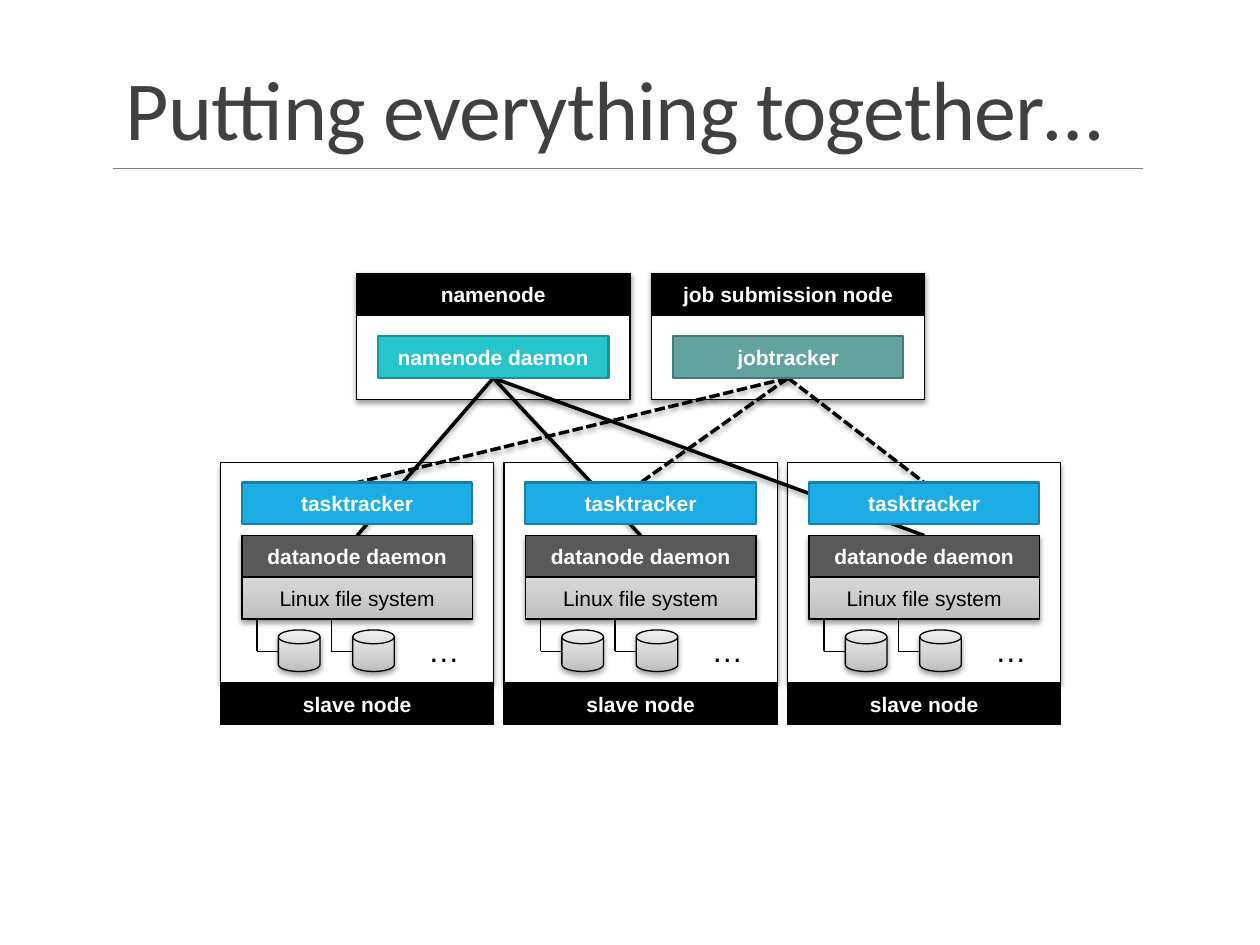
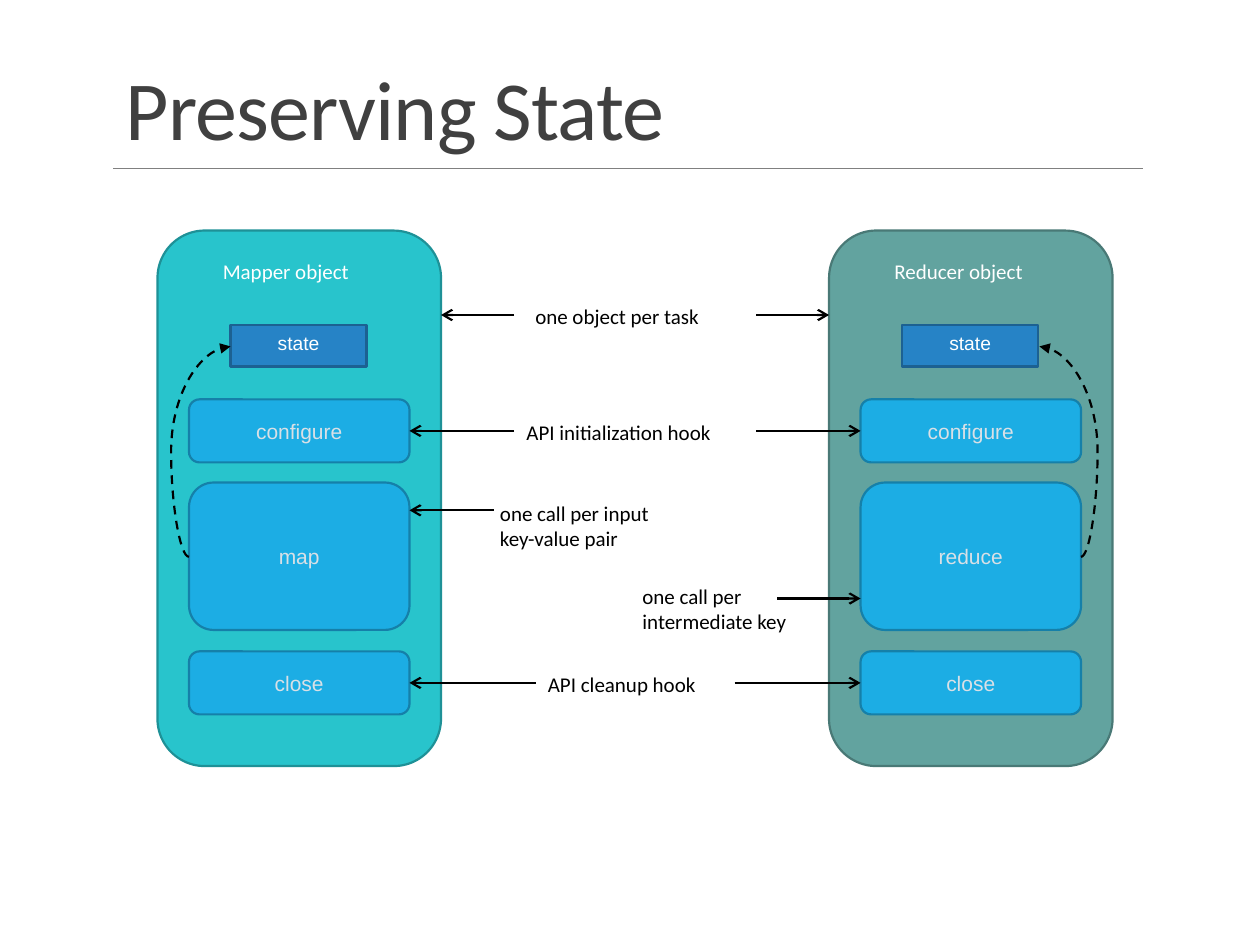
import pptx
import pptx.util
import pptx.dml.color
import pptx.enum.dml
import pptx.enum.shapes
import pptx.enum.text
import pptx.oxml
import pptx.oxml.ns

Inches, Pt = pptx.util.Inches, pptx.util.Pt
SHAPE = pptx.enum.shapes.MSO_SHAPE
WIRE = pptx.enum.shapes.MSO_CONNECTOR
DASH = pptx.enum.dml.MSO_LINE
ALIGN = pptx.enum.text.PP_ALIGN
ANCHOR = pptx.enum.text.MSO_ANCHOR
FIT = pptx.enum.text.MSO_AUTO_SIZE

BLACK, WHITE, GREY = "000000", "FFFFFF", "595959"
TITLE, RULE, PALE = "404040", "808080", "D9E0E6"
# Fill and edge pairs
BLUE = ("1CADE4", "1580A9")
NAVY = ("2683C6", "1C6192")
TEAL = ("28C4CC", "1E9197")
SAGE = ("62A39F", "497976")
SILVER = [(0, "BDBDBD"), (35, "D1D1D1"), (100, "EEEEEE")]


def color(code):
    return pptx.dml.color.RGBColor.from_string(code)


def make(tag, body=""):
    return pptx.oxml.parse_xml(f"<a:{tag} {pptx.oxml.ns.nsdecls('a')}>{body}</a:{tag.split()[0]}>")


def effect(props, shadow):
    """Replace the theme's effects with a soft drop shadow or nothing."""
    for old in props.findall(pptx.oxml.ns.qn("a:effectLst")):
        props.remove(old)
    drop = ('<a:outerShdw blurRad="40000" dist="20000" dir="5400000" rotWithShape="0">'
            '<a:srgbClr val="000000"><a:alpha val="38000"/></a:srgbClr></a:outerShdw>')
    props.append(make("effectLst", drop if shadow else ""))


def silver(shape):
    stops = "".join(f'<a:gs pos="{pos * 1000}"><a:srgbClr val="{code}"/></a:gs>'
                    for pos, code in SILVER)
    shape.fill.background()
    none = shape._element.spPr.find(pptx.oxml.ns.qn("a:noFill"))
    none.getparent().replace(none, make(
        "gradFill", f'<a:gsLst>{stops}</a:gsLst><a:lin ang="16200000" scaled="0"/>'))


def style(part, size, ink, face="Arial", bold=False):
    for run in part.runs:
        run.font.size, run.font.name, run.font.bold = Pt(size), face, bold
        run.font.color.rgb = color(ink)


def box(host, left, top, width, height, fill=None, edge=BLACK, text="", ink=WHITE,
        size=12, bold=False, kind=SHAPE.RECTANGLE, shadow=False, anchor=ANCHOR.MIDDLE):
    shape = host.shapes.add_shape(kind, Inches(left), Inches(top), Inches(width), Inches(height))
    if fill is SILVER:
        silver(shape)
    elif fill:
        shape.fill.solid()
        shape.fill.fore_color.rgb = color(fill)
    else:
        shape.fill.background()
    shape.line.color.rgb = color(edge)
    shape.line.width = Pt(0.75 if edge == BLACK else 1.25)
    shape.shadow.inherit = False
    effect(shape._element.spPr, shadow)
    if text:
        frame = shape.text_frame
        frame.text = text
        frame.word_wrap = True
        frame.vertical_anchor = anchor
        frame.paragraphs[0].alignment = ALIGN.CENTER
        style(frame.paragraphs[0], size, ink, bold=bold)
    return shape


def label(host, left, top, width, height, text, ink=BLACK, size=12, face="Calibri"):
    frame = host.shapes.add_textbox(
        Inches(left), Inches(top), Inches(width), Inches(height)).text_frame
    frame.text = text
    frame.word_wrap = False
    frame.auto_size = FIT.SHAPE_TO_FIT_TEXT
    style(frame.paragraphs[0], size, ink, face)


def wire(host, start, end, width=0.75, ink=BLACK, dash=None, head=None, shadow=False, bend=None):
    kind = WIRE.STRAIGHT if bend is None else WIRE.CURVE
    line = host.shapes.add_connector(kind, *map(Inches, (*start, *end)))
    line.line.color.rgb = color(ink)
    line.line.width = Pt(width)
    if dash:
        line.line.dash_style = dash
    props = line._element.spPr
    if head:
        props.find(pptx.oxml.ns.qn("a:ln")).append(make(f'tailEnd type="{head}"'))
    if bend is not None:
        geom = props.find(pptx.oxml.ns.qn("a:prstGeom"))
        for old in list(geom):
            geom.remove(old)
        geom.append(make("avLst", f'<a:gd name="adj1" fmla="val {round(bend * 100000)}"/>'))
    effect(props, shadow)


def page(deck, text):
    """Add a slide with the shared title and rule."""
    slide = deck.slides.add_slide(deck.slide_layouts[6])
    wire(slide, (0.9, 1.34), (9.07, 1.34), 0.5, RULE)
    frame = slide.shapes.add_textbox(
        Inches(0.9), Inches(0.31), Inches(8.25), Inches(0.99)).text_frame
    frame.text = text
    frame.word_wrap = True
    frame.vertical_anchor = ANCHOR.BOTTOM
    para = frame.paragraphs[0]
    para.line_spacing = 0.85
    style(para, 48, TITLE, "Calibri")
    para.runs[0].font._element.set("spc", "-50")
    return slide


# Cluster slide: a node is 2.17 wide, its inner bars 1.83
NODE, BAR, ROW, PAD = 2.17, 1.83, 0.33, 0.17


def master(slide, left, top, name, daemon, pair):
    box(slide, left, top, NODE, ROW, BLACK, text=name, bold=True)
    box(slide, left, top + ROW, NODE, 0.67)
    box(slide, left + PAD, top + 0.5, BAR, ROW, *pair, text=daemon, bold=True)


def slave(slide, left, top):
    inner = left + PAD
    # File system stack
    box(slide, inner, top + 0.58, BAR, 0.67, SILVER, shadow=True)
    box(slide, inner, top + 0.58, BAR, ROW, GREY, text="datanode daemon", bold=True)
    box(slide, inner, top + 0.91, BAR, ROW, text="Linux file system", ink=BLACK)
    # Disks on their cables
    for disk in (left + 0.46, left + 1.05):
        box(slide, disk, top + 1.33, ROW, ROW, SILVER,
            kind=SHAPE.FLOWCHART_MAGNETIC_DISK, shadow=True)
        bend = (disk - 0.17, top + 1.5)
        wire(slide, (disk - 0.17, top + 1.25), bend)
        wire(slide, bend, (disk, top + 1.5))
    label(slide, left + 1.55, top + 1.29, 0.45, 0.4, "…", size=18, face="Arial")
    # Tracker and name band
    box(slide, inner, top + 0.16, BAR, ROW, *BLUE, text="tasktracker", bold=True)
    box(slide, left, top + 1.75, NODE, ROW, BLACK, text="slave node", bold=True)


def cluster(slide):
    upper, lower = 2.17, 3.67
    masters = [(2.83, "namenode", "namenode daemon", TEAL),
               (5.17, "job submission node", "jobtracker", SAGE)]
    slaves = [1.75 + 2.25 * i for i in range(3)]
    # Frames
    for left, *_ in masters:
        box(slide, left, upper, NODE, 1, WHITE, shadow=True)
    for left in slaves:
        box(slide, left, lower, NODE, 1.75, WHITE, shadow=True)
    # Links from each master to every slave
    for (left, *_), end, dash in zip(masters, (4.25, 3.83), (None, DASH.SQUARE_DOT)):
        for node in slaves:
            wire(slide, (left + NODE / 2, 3), (node + NODE / 2, end), 2, dash=dash, shadow=True)
    for left in slaves:
        slave(slide, left, lower)
    for left, *rest in masters:
        master(slide, left, upper, *rest)


def task(slide, left, top, name, width, pair, method):
    """Draw one task object with its state and methods."""
    group = slide.shapes.add_group_shape()
    box(group, left, top, 2.25, 4.25, *pair, kind=SHAPE.ROUNDED_RECTANGLE)
    label(group, left + 0.42, top + 0.17, width, 0.3, name, WHITE)
    for drop, height, text in ((1.34, 0.5, "configure"), (2, 1.17, method), (3.34, 0.5, "close")):
        box(slide, left + 0.25, top + drop, 1.75, height, *BLUE, text=text, ink=PALE,
            kind=SHAPE.ROUNDED_RECTANGLE)
    box(slide, left + 0.58, top + 0.75, 1.08, ROW, *NAVY, text="state", size=11,
        anchor=ANCHOR.TOP)


def state(slide):
    top = 1.83
    task(slide, 1.25, top, "Mapper object", 1.34, TEAL, "map")
    task(slide, 6.58, top, "Reducer object", 1.42, SAGE, "reduce")
    # Notes: position, size, text
    notes = [(4.15, 2.36, 1.52, 0.3, "one object per task"),
             (4.08, 3.28, 1.68, 0.3, "API initialization hook"),
             (3.87, 3.92, 1.43, 0.5, "one call per input \vkey-value pair"),
             (5, 4.58, 1.35, 0.5, "one call per \vintermediate key"),
             (4.25, 5.28, 1.39, 0.3, "API cleanup hook")]
    for note in notes:
        label(slide, *note)
    # Arrows: height, start, tip
    arrows = [(2.5, 4.08, 3.5), (2.5, 6, 6.58), (3.42, 4.08, 3.25), (3.42, 6, 6.83),
              (4.05, 3.92, 3.25), (4.75, 6.17, 6.83), (5.42, 4.25, 3.25), (5.42, 5.83, 6.83)]
    for level, start, tip in arrows:
        wire(slide, (start, level), (tip, level), 1.25, head="arrow")
    # Methods reach back to the state
    for start, tip, bend in ((1.5, 1.83, -0.43), (8.58, 8.25, -0.4)):
        wire(slide, (start, 4.42), (tip, 2.75), 1.25, dash=DASH.DASH, head="triangle", bend=bend)


def main():
    deck = pptx.Presentation()
    deck.slide_width, deck.slide_height = Inches(10), Inches(7.5)
    cluster(page(deck, "Putting everything together…"))
    state(page(deck, "Preserving State"))
    deck.save("out.pptx")


if __name__ == "__main__":
    main()
